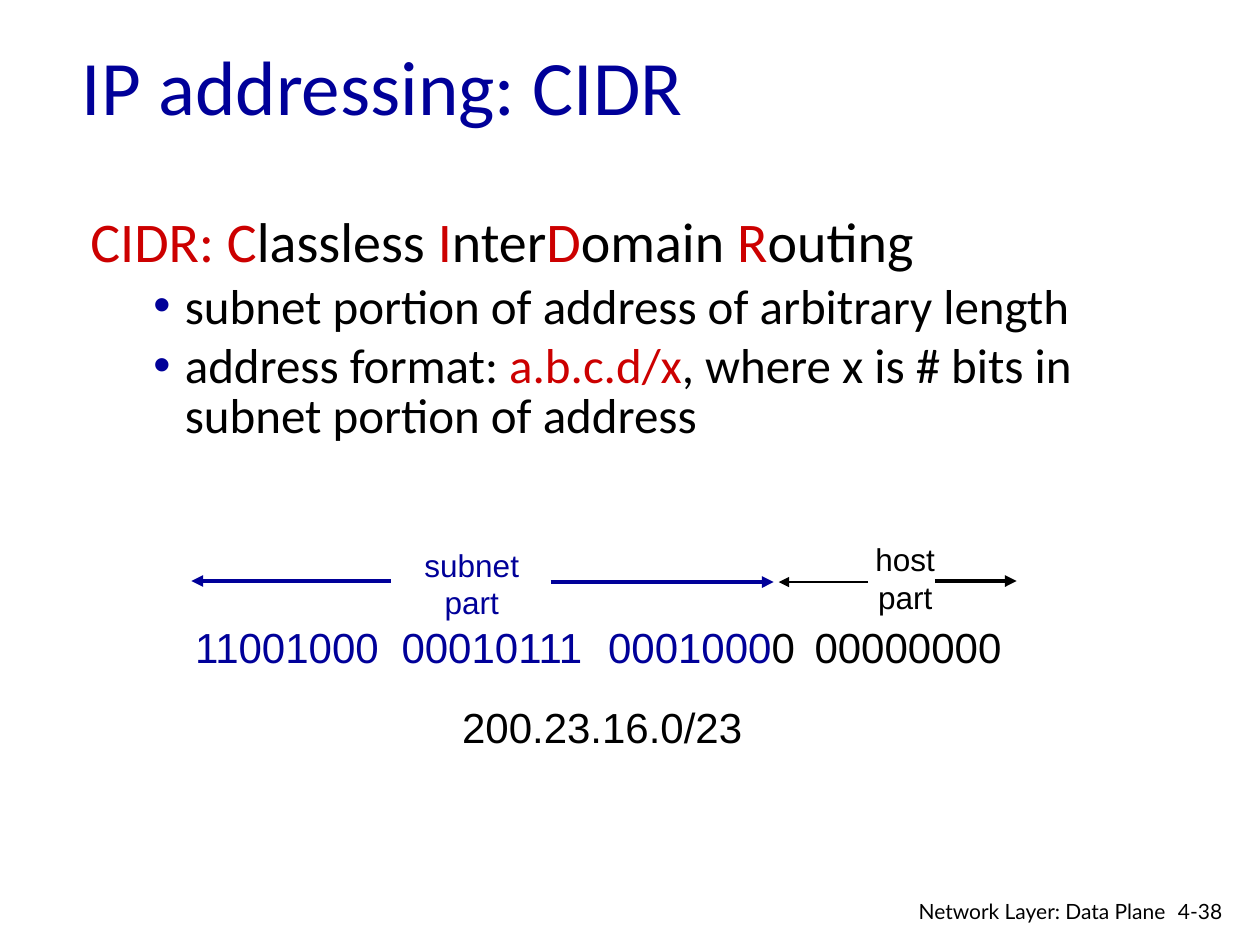
import pptx
import pptx.util
import pptx.dml.color
import pptx.enum.text
import pptx.enum.shapes
import pptx.oxml.ns
from lxml import etree

Pt = pptx.util.Pt
RGB = pptx.dml.color.RGBColor
ALIGN = pptx.enum.text.PP_ALIGN
ANCHOR = pptx.enum.text.MSO_ANCHOR
qn = pptx.oxml.ns.qn

BLUE = RGB(0x00, 0x00, 0x99)
RED = RGB(0xCC, 0x00, 0x00)
BLACK = RGB(0x00, 0x00, 0x00)


def write(para, text, size=24, font="Arial", color=BLACK):
    run = para.add_run()
    run.text = text
    run.font.size = Pt(size)
    run.font.name = font
    run.font.color.rgb = color


def frame(left, top, width, height, wrap=True):
    """Add a text box and return its text frame."""
    box = slide.shapes.add_textbox(Pt(left), Pt(top), Pt(width), Pt(height))
    box.text_frame.word_wrap = wrap
    return box.text_frame


deck = pptx.Presentation()
deck.slide_width, deck.slide_height = Pt(720), Pt(540)
slide = deck.slides.add_slide(deck.slide_layouts[5])

# Title
title = slide.shapes.title
title.left, title.top, title.width, title.height = Pt(39.6), Pt(15.1), Pt(612), Pt(67)
title.text_frame.vertical_anchor = ANCHOR.MIDDLE
head = title.text_frame.paragraphs[0]
head.alignment = ALIGN.LEFT
write(head, "IP addressing: CIDR", size=44, font="Calibri", color=BLUE)

# Definition and its two bullets
lines = [
    (0, [("CIDR: C", RED), ("lassless ", BLACK), ("I", RED), ("nter", BLACK),
         ("D", RED), ("omain ", BLACK), ("R", RED), ("outing", BLACK)]),
    (1, [("subnet portion of address of arbitrary length", BLACK)]),
    (1, [("address format: ", BLACK), ("a.b.c.d/x", RED),
         (", where x is # bits in subnet portion of address", BLACK)]),
]
body = frame(44.6, 120.5, 638.6, 250)
for i, (level, parts) in enumerate(lines):
    para = body.add_paragraph() if i else body.paragraphs[0]
    para.level = level
    para.line_spacing = 0.85
    props = para._p.get_or_add_pPr()
    props.set("marL", str(Pt(54 if level else 27)))
    props.set("indent", str(Pt(-18 if level else -27)))
    if level:
        para.space_before = Pt(5.6)
        tint = etree.SubElement(props, qn("a:buClr"))
        etree.SubElement(tint, qn("a:srgbClr"), val=str(BLUE))
        etree.SubElement(props, qn("a:buFont"), typeface="Arial")
        etree.SubElement(props, qn("a:buChar"), char="•")
    for text, color in parts:
        write(para, text, size=28 if level else 32, font="Calibri", color=color)

# Address in binary, one tab stop per byte
bits = frame(104.4, 351.4, 482.4, 36).paragraphs[0]
stops = etree.SubElement(bits._p.get_or_add_pPr(), qn("a:tabLst"))
for n in range(1, 4):
    etree.SubElement(stops, qn("a:tab"), pos=str(Pt(118 * n)), algn="l")
write(bits, "11001000\t00010111\t0001000", color=BLUE)
write(bits, "0\t00000000")

# Address in dotted form
write(frame(257, 397.4, 175, 36, wrap=False).paragraphs[0], "200.23.16.0/23")

# Names of the two parts
for name, left, top, width, color in [
    ("subnet", 235.4, 308.2, 68.4, BLUE),
    ("host", 493.2, 305.3, 48.2, BLACK),
]:
    label = frame(left, top, width, 50.4, wrap=False)
    for para, word in [(label.paragraphs[0], name), (label.add_paragraph(), "part")]:
        para.alignment = ALIGN.CENTER
        write(para, word, size=18, color=color)

# Arrows from each name to the ends of its part
for start, end, y, color, weight in [
    (223.2, 109.4, 332, BLUE, 2.25),
    (314.6, 442.1, 332.6, BLUE, 2.25),
    (496.1, 445, 332.6, BLACK, 1.5),
    (534.2, 581, 332, BLACK, 2.25),
]:
    arrow = slide.shapes.add_connector(
        pptx.enum.shapes.MSO_CONNECTOR.STRAIGHT, Pt(start), Pt(y), Pt(end), Pt(y))
    arrow.line.color.rgb = color
    arrow.line.width = Pt(weight)
    etree.SubElement(arrow.line._get_or_add_ln(), qn("a:tailEnd"), type="triangle")
    etree.SubElement(arrow._element.spPr, qn("a:effectLst"))

# Footer
write(frame(666, 509.8, 43.9, 21.6).paragraphs[0], "4-38", size=12, font="Lato")
foot = frame(501.8, 509.8, 171.4, 18.7).paragraphs[0]
foot.alignment = ALIGN.RIGHT
write(foot, "Network Layer: Data Plane", size=12, font="Lato")

deck.save("out.pptx")
